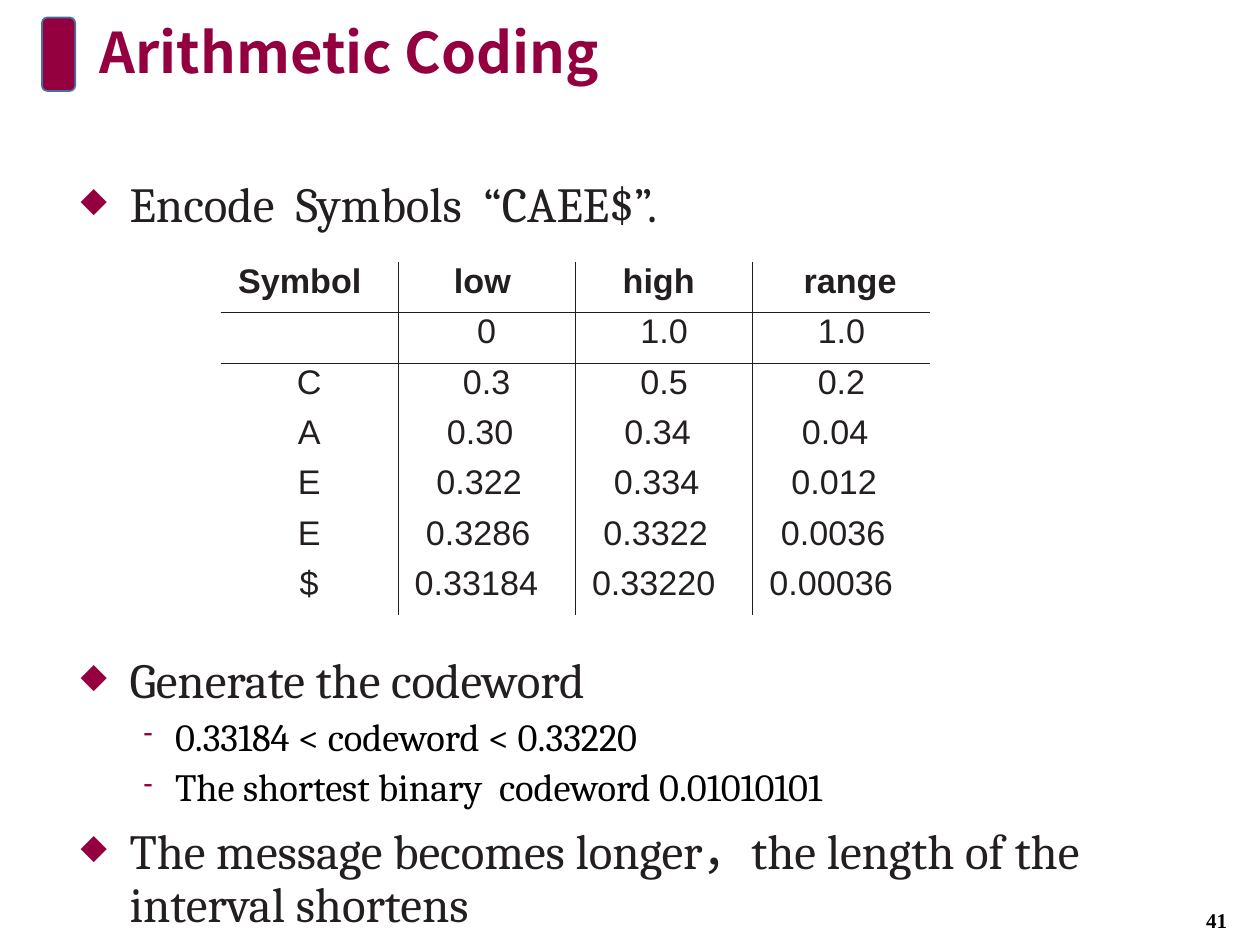
import pptx
import pptx.dml.color
import pptx.enum.shapes
import pptx.enum.text
import pptx.oxml
import pptx.oxml.ns
import pptx.util

Pt = pptx.util.Pt
RGBColor = pptx.dml.color.RGBColor
PP_ALIGN = pptx.enum.text.PP_ALIGN
MIDDLE = pptx.enum.text.MSO_ANCHOR.MIDDLE
NS = pptx.oxml.ns.nsdecls("a")

CRIMSON = RGBColor(0x94, 0x00, 0x3F)
BLUE = RGBColor(0x43, 0x73, 0x9E)
INK = RGBColor(0x23, 0x1F, 0x20)
RULE = RGBColor(0x22, 0x1E, 0x1F)
BLACK = RGBColor(0, 0, 0)


def style(p, name, size, color, bold=False):
    for r in p.runs:
        r.font.name = name
        r.font.size = Pt(size)
        r.font.color.rgb = color
        r.font.bold = bold


def set_borders(cell, visible):
    tcPr = cell._tc.get_or_add_tcPr()
    for i, side in enumerate("LRTB"):
        paint = f'<a:solidFill><a:srgbClr val="{RULE}"/></a:solidFill>' if side in visible else "<a:noFill/>"
        tcPr.insert(i, pptx.oxml.parse_xml(f'<a:ln{side} {NS} w="{Pt(0.6)}">{paint}</a:ln{side}>'))


prs = pptx.Presentation()
prs.slide_width, prs.slide_height = Pt(720), Pt(540)
s = prs.slides.add_slide(prs.slide_layouts[6])

marker = s.shapes.add_shape(pptx.enum.shapes.MSO_SHAPE.ROUNDED_RECTANGLE, Pt(24), Pt(10), Pt(19), Pt(42))
marker.shadow.inherit = False
marker.fill.solid()
marker.fill.fore_color.rgb = CRIMSON
marker.line.color.rgb = BLUE
marker.line.width = Pt(1)

tf = s.shapes.add_textbox(Pt(49.7), Pt(10.8), Pt(620.6), Pt(41.8)).text_frame
tf.word_wrap = True
tf.vertical_anchor = MIDDLE
tf.text = "Arithmetic Coding"
p = tf.paragraphs[0]
p.line_spacing = 0.9
style(p, "Noto Sans CJK SC", 32, CRIMSON, True)

tf = s.shapes.add_textbox(Pt(664.6), Pt(511.2), Pt(61.2), Pt(28.8)).text_frame
tf.word_wrap = True
tf.vertical_anchor = MIDDLE
tf.text = "41"
p = tf.paragraphs[0]
p.alignment = PP_ALIGN.CENTER
style(p, "Times New Roman", 12, BLACK, True)

BULLETS = [
    (0, 10, 1, "Encode  Symbols  “CAEE$”."),
    (0, 242, 0.9, "Generate the codeword"),
    (1, 5, 0.9, "0.33184 < codeword < 0.33220"),
    (1, 5, 0.9, "The shortest binary  codeword 0.01010101"),
    (0, 10, 0.9, "The message becomes longer，the length of the interval shortens"),
]
LEVELS = [("◆", 28, 28, 28, INK), ("-", 54, 18, 22, BLACK)]
tf = s.shapes.add_textbox(Pt(46), Pt(99.4), Pt(618.5), Pt(440.6)).text_frame
tf.word_wrap = True
tf.margin_left = tf.margin_right = tf.margin_top = tf.margin_bottom = 0
for i, (level, before, spacing, text) in enumerate(BULLETS):
    char, indent, hanging, size, color = LEVELS[level]
    p = tf.add_paragraph() if i else tf.paragraphs[0]
    p.text = text
    p.level = level
    p.space_before = Pt(before)
    p.line_spacing = float(spacing)
    style(p, "Cambria", size, color)
    pPr = p._p.get_or_add_pPr()
    pPr.set("marL", str(Pt(indent)))
    pPr.set("indent", str(-Pt(hanging)))
    for xml in (
        f'<a:buClr {NS}><a:srgbClr val="{CRIMSON}"/></a:buClr>',
        f'<a:buSzPct {NS} val="70000"/>',
        f'<a:buChar {NS} char="{char}"/>',
    ):
        pPr.append(pptx.oxml.parse_xml(xml))

ROWS = [
    ("Symbol", "low", "high", "range"),
    ("", "0", "1.0", "1.0"),
    ("C", "0.3", "0.5", "0.2"),
    ("A", "0.30", "0.34", "0.04"),
    ("E", "0.322", "0.334", "0.012"),
    ("E", "0.3286", "0.3322", "0.0036"),
    ("$", "0.33184", "0.33220", "0.00036"),
]
HEADER_INDENTS = [10, 32, 27, 29]
VALUE_INDENTS = {3: 28, 4: 22, 5: 16, 6: 9.5}
table = s.shapes.add_table(7, 4, Pt(126), Pt(149.8), Pt(405.6), Pt(201.6)).table
table.first_row = table.horz_banding = False
for column in table.columns:
    column.width = Pt(101.4)
for i, row in enumerate(ROWS):
    table.rows[i].height = Pt(28.8)
    for j, text in enumerate(row):
        cell = table.cell(i, j)
        cell.margin_left = cell.margin_right = cell.margin_top = cell.margin_bottom = 0
        cell.fill.background()
        visible = ("L" if j > 0 else "") + ("R" if j < 3 else "")
        visible += ("T" if i in (1, 2) else "") + ("B" if i in (0, 1) else "")
        set_borders(cell, visible)
        if not text:
            continue
        cell.text = text
        p = cell.text_frame.paragraphs[0]
        style(p, "Arial", 19.5, INK, i == 0)
        if i == 0 or (i in VALUE_INDENTS and j > 0):
            indent = HEADER_INDENTS[j] if i == 0 else VALUE_INDENTS[i]
            p._p.get_or_add_pPr().set("marL", str(Pt(indent)))
        else:
            p.alignment = PP_ALIGN.CENTER

prs.save("out.pptx")
